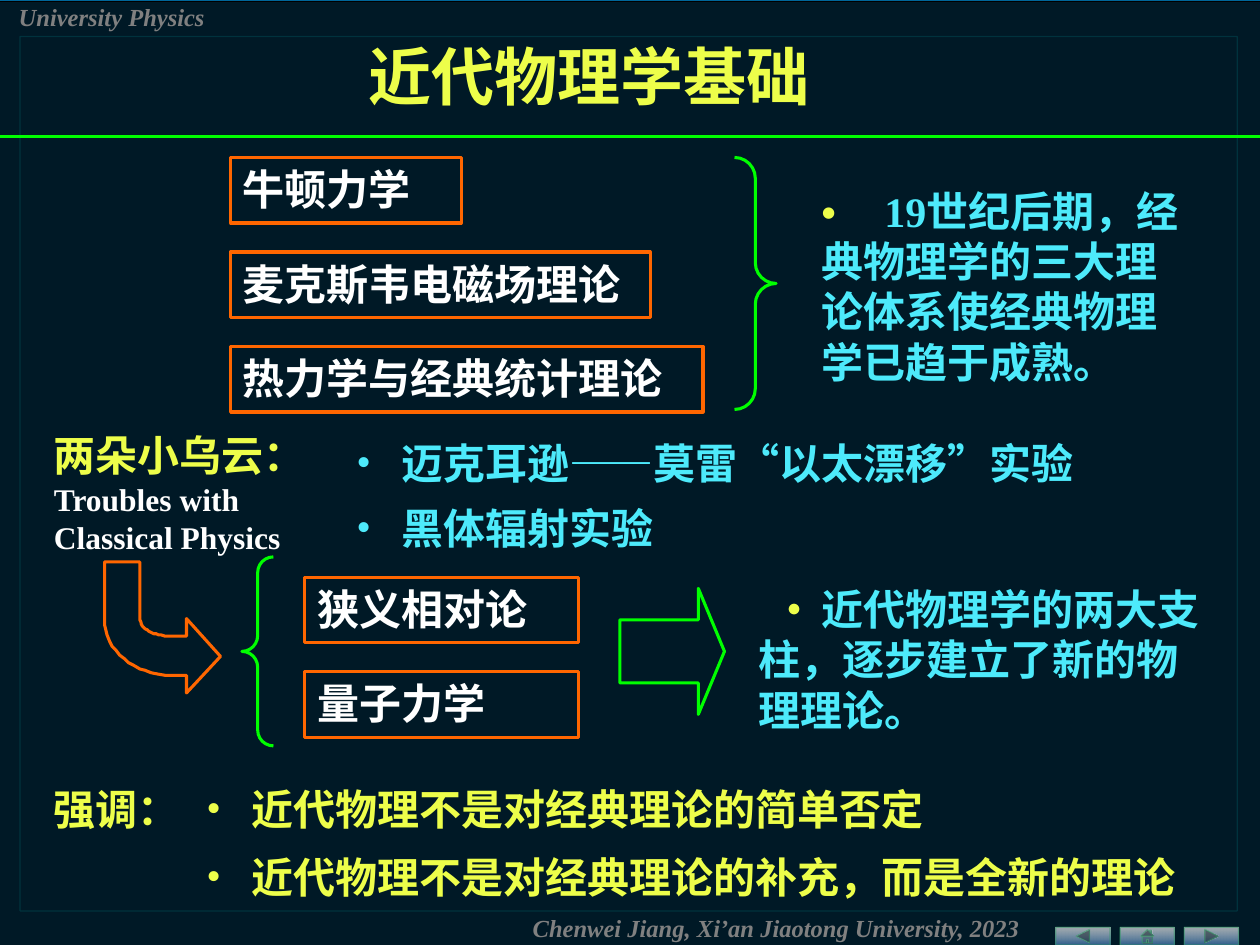
import pptx
import pptx.dml.color
import pptx.enum.lang
import pptx.enum.shapes
import pptx.enum.text
import pptx.oxml
import pptx.oxml.ns
import pptx.util
from lxml import etree

EMU_PER_PX = 9144  # 100 px to the inch
PAGE_WIDTH, PAGE_HEIGHT = 1000, 750
FONT = "Times New Roman"
LINE_WIDTH = 1.75
COLORS = {
    "page": "006699", "veil": "000000", "frame": "009999",
    "button_top": "FFFFFF", "button_bottom": "336699", "button_line": "339966",
    "footer": "808080", "yellow": "EDFE4A", "cyan": "4DEAFB",
    "white": "FFFFFF", "orange": "FF6600", "green": "00FF00",
}
SHAPES = pptx.enum.shapes.MSO_SHAPE


def px(value):
    return pptx.util.Emu(round(value * EMU_PER_PX))


def rgb(name):
    return pptx.dml.color.RGBColor.from_string(COLORS[name])


def add_xml(parent, tag, **attributes):
    child = etree.SubElement(parent, pptx.oxml.ns.qn(tag))
    for name, value in attributes.items():
        child.set(name, str(value))
    return child


def set_opacity(shape, *percents):
    """Give the colours of a shape, in XML order, their opacity."""
    colors = shape.element.spPr.iter(pptx.oxml.ns.qn("a:srgbClr"))
    for color, percent in zip(colors, percents):
        add_xml(color, "a:alpha", val=percent * 1000)


def set_outline(shape, color, width=LINE_WIDTH):
    shape.line.color.rgb = rgb(color)
    shape.line.width = pptx.util.Pt(width)


def add_outline_shape(page, kind, at, color, width=LINE_WIDTH, adjustments=()):
    shape = page.shapes.add_shape(kind, *map(px, at))
    shape.shadow.inherit = False
    shape.fill.background()
    set_outline(shape, color, width)
    for index, value in enumerate(adjustments):
        shape.adjustments[index] = value
    return shape


def add_span(para, text, size=24, color="yellow", italic=False):
    span = para.add_run()
    span.text = text
    font = span.font
    font.name = FONT
    font.size = pptx.util.Pt(size)
    font.bold = True
    font.italic = italic or None
    font.color.rgb = rgb(color)
    font.language_id = pptx.enum.lang.MSO_LANGUAGE_ID.SIMPLIFIED_CHINESE


def prepare_frame(frame, wrap=True):
    frame.word_wrap = wrap
    frame.auto_size = pptx.enum.text.MSO_AUTO_SIZE.SHAPE_TO_FIT_TEXT
    frame.vertical_anchor = pptx.enum.text.MSO_ANCHOR.TOP
    para = frame.paragraphs[0]
    para.alignment = pptx.enum.text.PP_ALIGN.LEFT
    return para


def add_text(page, at, text, wrap=True, **style):
    box = page.shapes.add_textbox(*map(px, at))
    para = prepare_frame(box.text_frame, wrap)
    add_span(para, text, **style)
    return box


def add_bullet_line(page, at, text, color):
    box = add_text(page, at, text, color=color)
    properties = box.text_frame.paragraphs[0]._p.get_or_add_pPr()
    properties.set("marL", str(px(48)))
    properties.set("indent", str(px(-36)))
    add_xml(properties, "a:buFont", typeface=FONT)
    add_xml(properties, "a:buChar", char="•")


def add_bullet_passage(page, at, text, indent, tab):
    """Add a passage whose later lines run back under its bullet."""
    box = add_text(page, at, "•\t")
    para = box.text_frame.paragraphs[0]
    properties = para._p.get_or_add_pPr()
    properties.set("marL", "0")
    properties.set("indent", str(px(indent)))
    add_xml(add_xml(properties, "a:tabLst"), "a:tab", pos=px(tab), algn="l")
    add_span(para, text, color="cyan")


def add_theory(page, at, text):
    box = add_outline_shape(page, SHAPES.RECTANGLE, at, "orange")
    add_span(prepare_frame(box.text_frame), text, color="white")


def add_rule(page, y):
    rule = page.shapes.add_connector(
        pptx.enum.shapes.MSO_CONNECTOR.STRAIGHT, 0, px(y), px(PAGE_WIDTH), px(y))
    set_outline(rule, "green")
    add_xml(rule.element.spPr, "a:effectLst")


def curve(start, control1, control2, end, steps=16):
    """Return points along a cubic curve, without its start."""
    points = []
    for step in range(1, steps + 1):
        t = step / steps
        weights = ((1 - t) ** 3, 3 * t * (1 - t) ** 2, 3 * t * t * (1 - t), t ** 3)
        corners = (start, control1, control2, end)
        points.append(tuple(sum(w * c[axis] for w, c in zip(weights, corners))
                            for axis in (0, 1)))
    return points


def add_bent_arrow(page):
    points = [(148, 550), (148, 536), (136, 536)]
    points += curve((136, 536), (107, 536), (83, 516), (83, 491))
    points += [(83, 446), (111, 446), (111, 491)]
    points += curve((111, 491), (111, 499), (122, 505), (136, 505))
    points += [(148, 505), (148, 491)]
    builder = page.shapes.build_freeform(175, 521, scale=EMU_PER_PX)
    builder.add_line_segments(points, close=True)
    arrow = builder.convert_to_shape()
    arrow.shadow.inherit = False
    arrow.fill.background()
    set_outline(arrow, "orange")


def add_button(page, kind, left):
    button = add_outline_shape(page, kind, (left, 736, 43, 14), "button_line", 0)
    button.fill.gradient()
    button.fill.gradient_angle = 270
    for stop, color in zip(button.fill.gradient_stops, ("button_top", "button_bottom")):
        stop.color.rgb = rgb(color)
    set_opacity(button, 62, 89, 52)


def add_backdrop(page):
    page.background.fill.solid()
    page.background.fill.fore_color.rgb = rgb("page")
    veil = add_outline_shape(page, SHAPES.RECTANGLE, (-7, 1, 1009, 759), "veil", 0.75)
    veil.fill.solid()
    veil.fill.fore_color.rgb = rgb("veil")
    set_opacity(veil, 75)
    kinds = (SHAPES.ACTION_BUTTON_BACK_OR_PREVIOUS, SHAPES.ACTION_BUTTON_HOME,
             SHAPES.ACTION_BUTTON_FORWARD_OR_NEXT)
    for index, kind in enumerate(kinds):
        add_button(page, kind, 838 + 51 * index)
    frame = add_outline_shape(page, SHAPES.RECTANGLE, (16, 29, 966, 694), "frame", 0.75)
    set_opacity(frame, 20)
    small = {"size": 14, "color": "footer", "italic": True}
    add_text(page, (413, 720, 543, 33),
             "Chenwei Jiang, Xi’an Jiaotong University, 2023", **small)
    add_text(page, (5, -3, 260, 33), "University Physics", **small)


def add_classical_physics(page):
    theories = (("牛顿力学", 183), ("麦克斯韦电磁场理论", 333), ("热力学与经典统计理论", 375))
    for row, (name, width) in enumerate(theories):
        add_theory(page, (183, 125 + 75 * row, width, 52), name)
    add_outline_shape(page, SHAPES.RIGHT_BRACE, (583, 125, 33, 200), "green",
                      adjustments=(0.5, 0.5))
    add_bullet_passage(page, (642, 142, 317, 170),
                       "19世纪后期，经典物理学的三大理论体系使经典物理学已趋于成熟。", 0, 37)


def add_troubles(page):
    box = add_text(page, (33, 336, 427, 110), "两朵小乌云：")
    for line in ("Troubles with", "Classical Physics"):
        add_span(box.text_frame.add_paragraph(), line, size=18, color="white")
    add_bullet_line(page, (261, 342, 625, 50), "迈克耳逊——莫雷“以太漂移”实验", "cyan")
    add_bullet_line(page, (261, 394, 350, 50), "黑体辐射实验", "cyan")


def add_modern_physics(page):
    add_bent_arrow(page)
    for row, name in enumerate(("狭义相对论", "量子力学")):
        add_theory(page, (242, 458 + 75 * row, 217, 52), name)
    add_outline_shape(page, SHAPES.LEFT_BRACE, (192, 442, 25, 150), "green",
                      adjustments=(0.5, 0.5))
    add_outline_shape(page, SHAPES.RIGHT_ARROW, (492, 467, 83, 100), "green",
                      adjustments=(0.5, 0.25))
    add_bullet_passage(page, (592, 458, 375, 130),
                       "近代物理学的两大支柱，逐步建立了新的物理理论。", 12, 56)


def add_emphasis(page):
    add_text(page, (33, 617, 167, 50), "强调：")
    add_bullet_line(page, (142, 617, 700, 50), "近代物理不是对经典理论的简单否定", "yellow")
    add_bullet_line(page, (142, 671, 839, 50),
                    "近代物理不是对经典理论的补充，而是全新的理论", "yellow")


def main():
    deck = pptx.Presentation()
    deck.slide_width, deck.slide_height = px(PAGE_WIDTH), px(PAGE_HEIGHT)
    page = deck.slides.add_slide(deck.slide_layouts[6])
    add_backdrop(page)
    add_text(page, (283, 25, 373, 70), "近代物理学基础", wrap=False, size=36)
    add_rule(page, 108)
    add_classical_physics(page)
    add_troubles(page)
    add_modern_physics(page)
    add_emphasis(page)
    deck.save("out.pptx")


if __name__ == "__main__":
    main()
